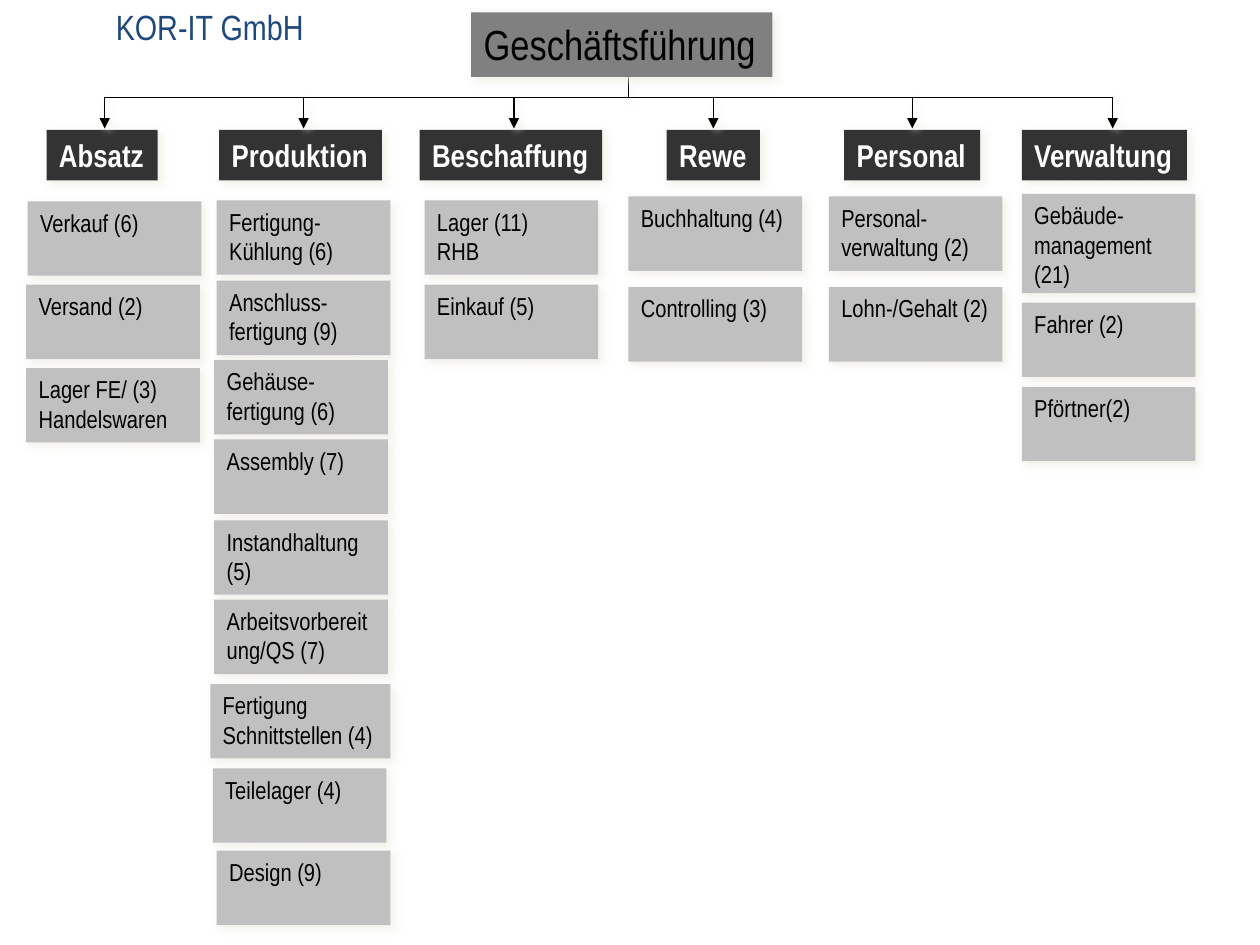
from lxml.etree import SubElement
from pptx import Presentation
from pptx.dml.color import RGBColor as RGB
from pptx.enum.shapes import MSO_CONNECTOR as LINK, MSO_SHAPE as KIND
from pptx.enum.text import MSO_ANCHOR as ANCHOR, MSO_AUTO_SIZE as FIT, PP_ALIGN as ALIGN
from pptx.oxml.ns import qn
from pptx.util import Cm, Pt

WIDTH, HEIGHT = 3.5, 1.5

UNITS = [
    ("Absatz", (0.53, 4.06), 0.41, 2.24, 1.58, [
        ("Verkauf (6)", 0.03, 0), ("Versand (2)", 0, 1.68),
        ("Lager FE/ (3)\nHandelswaren", 0, 3.36)]),
    ("Produktion", (4.32, 4.04), 0.1, 3.28, 1.8, [
        ("Fertigung-Kühlung (6)", 0.05, 0),
        ("Anschluss-\vfertigung (9)", 0.05, 1.62),
        ("Gehäuse-fertigung (6)", 0, 3.22), ("Assembly (7)", 0, 4.82),
        ("Instandhaltung (5)", 0, 6.45),
        ("Arbeitsvorbereitung/QS (7)", 0, 8.05),
        ("Fertigung Schnittstellen (4)", -0.08, 9.75, 3.63),
        ("Teilelager (4)", -0.03, 11.45), ("Design (9)", 0.05, 13.11)]),
    ("Beschaffung", (8.56, 4.04), -0.1, 3.68, 1.8, [
        ("Lager (11)\vRHB", 0, 0), ("Einkauf (5)", 0, 1.7)]),
    ("Rewe", (12.67, 3.96), 0.77, 1.88, 1.71, [
        ("Buchhaltung (4)", 0, 0), ("Controlling (3)", 0, 1.83)]),
    ("Personal", (16.71, 3.96), 0.31, 2.74, 1.68, [
        ("Personal-verwaltung (2)", 0, 0), ("Lohn-/Gehalt (2)", 0, 1.83)]),
    ("Verwaltung", (20.6, 3.91), 0, 3.33, 1.83, [
        ("Gebäude-management (21)", 0, 0, WIDTH, 2),
        ("Fahrer (2)", 0, 2.19), ("Pförtner(2)", 0, 3.89)]),
]


def color(code):
    return RGB.from_string(code)


def shade(item):
    props = item._element.spPr
    for old in props.findall(qn("a:effectLst")):
        props.remove(old)
    effect = SubElement(props, qn("a:effectLst"))
    outer = SubElement(effect, qn("a:outerShdw"), blurRad=str(Pt(5)),
                       dist=str(Pt(3)), dir="2700000", algn="ctr", rotWithShape="0")
    tint = SubElement(outer, qn("a:srgbClr"), val="EEECE1")
    SubElement(tint, qn("a:alpha"), val="75000")


def write(frame, text, size, ink, bold=False, align=ALIGN.LEFT):
    frame.text = text
    for para in frame.paragraphs:
        para.alignment = align
        for run in para.runs:
            font = run.font
            font.name, font.size, font.bold = "Arial Narrow", Pt(size), bold
            font.color.rgb = color(ink)


def add_box(slide, box, text, fill, size, ink="000000", bold=False, tight=False):
    item = slide.shapes.add_shape(KIND.RECTANGLE, *map(Cm, box))
    item.shadow.inherit = False
    item.fill.solid()
    item.fill.fore_color.rgb = color(fill)
    item.line.fill.background()
    shade(item)
    frame = item.text_frame
    frame.word_wrap = not tight
    frame.auto_size = FIT.SHAPE_TO_FIT_TEXT if tight else FIT.NONE
    frame.vertical_anchor = ANCHOR.TOP
    write(frame, text, size, ink, bold)


def add_line(slide, start, end, arrow=False, shadow=True):
    link = slide.shapes.add_connector(LINK.STRAIGHT, *map(Cm, start + end))
    link.line.color.rgb = color("000000")
    link.line.width = Pt(0.75)
    if arrow:
        SubElement(link.line._get_or_add_ln(), qn("a:tailEnd"), type="triangle")
    if shadow:
        shade(link)
    else:
        SubElement(link._element.spPr, qn("a:effectLst"))


def add_name(slide, box):
    frame = slide.shapes.add_textbox(*map(Cm, box)).text_frame
    frame.word_wrap = True
    frame.vertical_anchor = ANCHOR.MIDDLE
    write(frame, "KOR-IT GmbH", 20, "1F497D", align=ALIGN.CENTER)


def add_head(slide, box, rail):
    left, top, width, height = box
    mid = 12.67
    add_line(slide, (mid, top + height), (mid, rail))
    add_box(slide, box, "Geschäftsführung", "808080", 24, tight=True)


def add_unit(slide, unit, rail):
    name, (left, top), shift, width, axis, teams = unit
    add_box(slide, (left + shift, 2.62, width, 1.02), name, "333333", 18,
            "FFFFFF", True, True)
    for text, right, down, *size in teams:
        wide, high = (size + [WIDTH, HEIGHT][len(size):])
        add_box(slide, (left + right, top + down, wide, high), text, "C0C0C0", 14)
    add_line(slide, (left + axis, rail), (left + axis, rail + 0.63), arrow=True)


def main():
    deck = Presentation()
    deck.slide_width, deck.slide_height = Cm(25.4), Cm(19.05)
    slide = deck.slides.add_slide(deck.slide_layouts[6])
    rail = 1.96
    add_name(slide, (0, 0, 8.46, 1.07))
    add_head(slide, (9.5, 0.25, 6.07, 1.3), rail)
    for unit in UNITS:
        add_unit(slide, unit, rail)
    first, last = (unit[1][0] + unit[4] for unit in (UNITS[0], UNITS[-1]))
    add_line(slide, (first, rail), (last, rail), shadow=False)
    deck.save("out.pptx")


if __name__ == "__main__":
    main()
